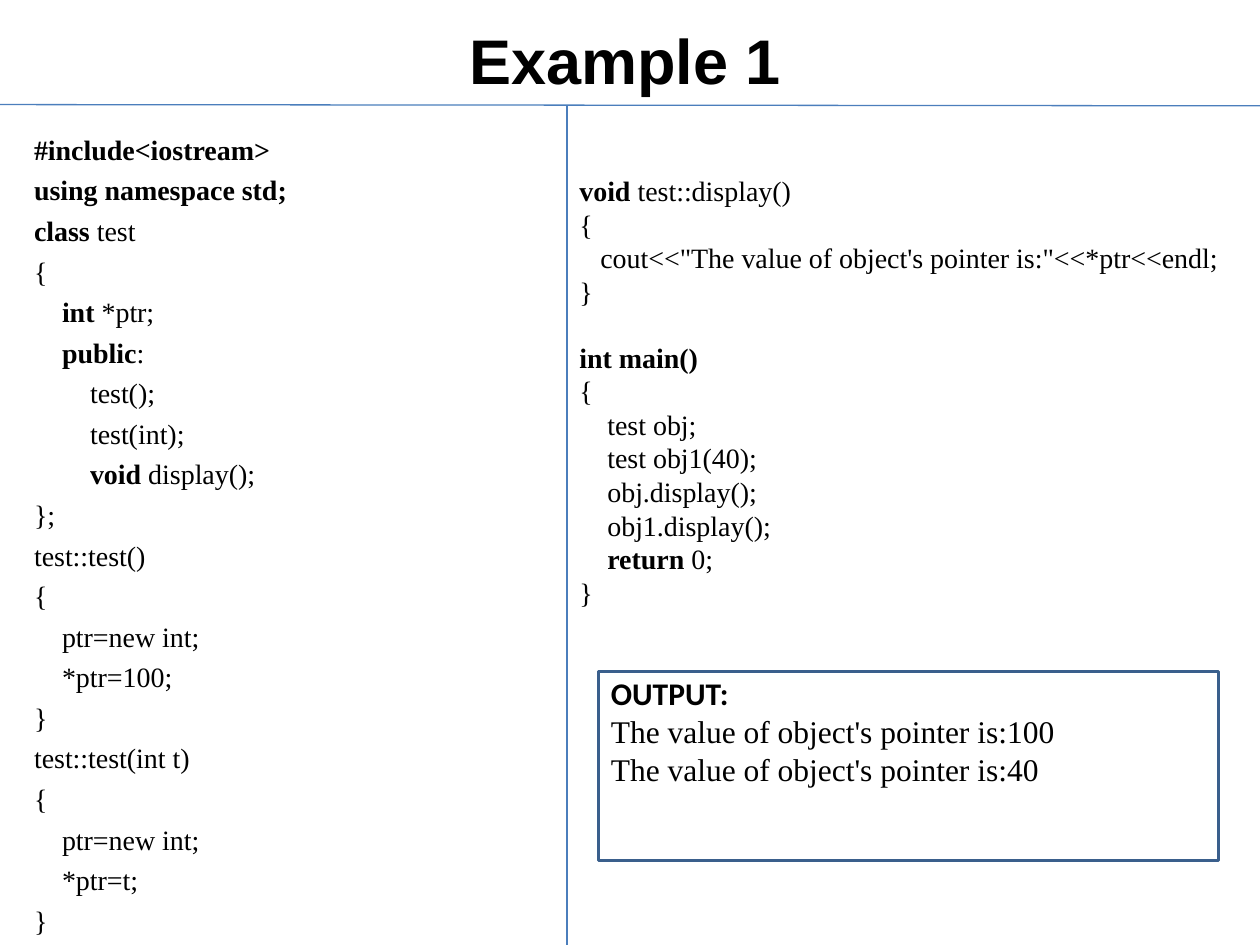
from lxml.etree import SubElement
from pptx import Presentation
from pptx.dml.color import RGBColor as RGB
from pptx.enum.shapes import MSO_CONNECTOR as CONN, MSO_SHAPE as SHAPE
from pptx.enum.text import MSO_ANCHOR as ANCHOR, MSO_AUTO_SIZE as AUTO, PP_ALIGN as ALIGN
from pptx.oxml.ns import qn
from pptx.util import Inches, Pt

THEME = {
    "text": RGB(0, 0, 0), "rule": RGB(0x4B, 0x7E, 0xBC), "frame": RGB(0x3A, 0x5F, 0x8C),
    "head": "Arial", "code": "Times New Roman", "label": "Calibri",
    "title_size": 36, "code_size": 16, "output_size": 18,
}
SPACE_WIDTH = THEME["code_size"] / 4

TITLE = "Example 1"
# each line: indent in characters, bold text, plain text
CLASS_CODE = [
    (0, "#include<iostream>", ""),
    (0, "using namespace std;", ""),
    (0, "class", " test"),
    (0, "", "{"),
    (4, "int ", "*ptr;"),
    (4, "public", ":"),
    (8, "", "test();"),
    (8, "", "test(int);"),
    (8, "void", " display();"),
    (0, "", "};"),
    (0, "", "test::test()"),
    (0, "", "{"),
    (4, "", "ptr=new int;"),
    (4, "", "*ptr=100;"),
    (0, "", "}"),
    (0, "", "test::test(int t)"),
    (0, "", "{"),
    (4, "", "ptr=new int;"),
    (4, "", "*ptr=t;"),
    (0, "", "}"),
]
DISPLAY_CODE = [
    (0, "void", " test::display()"),
    (0, "", "{"),
    (3, "", "cout<<\"The value of object's pointer is:\"<<*ptr<<endl;"),
    (0, "", "}"),
]
MAIN_CODE = [
    (0, "int main()", ""),
    (0, "", "{"),
    (4, "", "test obj;"),
    (4, "", "test obj1(40);"),
    (4, "", "obj.display();"),
    (4, "", "obj1.display();"),
    (4, "return ", "0;"),
    (0, "", "}"),
]
OUTPUT = [
    (0, "OUTPUT:", ""),
    (0, "", "The value of object's pointer is:100"),
    (0, "", "The value of object's pointer is:40"),
]
RULES = [(0, 0.83, 10, 0.84), (4.5, 0.84, 4.5, 7.5)]


def put(obj, **values):
    for name, value in values.items():
        setattr(obj, name, value)


def place(sp, x, y, w, h):
    put(sp, left=Inches(x), top=Inches(y), width=Inches(w), height=Inches(h))


def add_run(p, text, size, font, bold):
    r = p.add_run()
    r.text = text
    put(r.font, size=Pt(size), name=font, bold=bold)
    r.font.color.rgb = THEME["text"]


def write_lines(tf, lines, size, bold_font=THEME["code"], align=ALIGN.LEFT, before=0):
    for i, (indent, bold, plain) in enumerate(lines):
        p = tf.add_paragraph() if i else tf.paragraphs[0]
        put(p, alignment=align, space_before=Pt(before))
        pPr = p._p.get_or_add_pPr()
        pPr.set("marL", str(Pt(indent * SPACE_WIDTH)))
        pPr.set("indent", "0")
        SubElement(pPr, qn("a:buNone"))
        if bold:
            add_run(p, bold, size, bold_font, True)
        if plain:
            add_run(p, plain, size, THEME["code"], False)


prs = Presentation()
put(prs, slide_width=Inches(10), slide_height=Inches(7.5))
s = prs.slides.add_slide(prs.slide_layouts[1])
title, body = s.placeholders

place(title, 0.42, 0.08, 9.08, 0.78)
put(title.text_frame, vertical_anchor=ANCHOR.MIDDLE, auto_size=AUTO.NONE)
p = title.text_frame.paragraphs[0]
p.alignment = ALIGN.CENTER
add_run(p, TITLE, THEME["title_size"], THEME["head"], True)

place(body, 0.17, 1, 4.25, 6.5)
put(body.text_frame, vertical_anchor=ANCHOR.TOP, auto_size=AUTO.NONE)
write_lines(body.text_frame, CLASS_CODE, THEME["code_size"], align=ALIGN.JUSTIFY, before=4)

for ends in RULES:
    rule = s.shapes.add_connector(CONN.STRAIGHT, *map(Inches, ends))
    rule.line.color.rgb = THEME["rule"]
    rule.line.width = Pt(0.75)
    SubElement(rule._element.spPr, qn("a:effectLst"))

tf = s.shapes.add_textbox(*map(Inches, (4.5, 0.96, 5.33, 4.29))).text_frame
put(tf, word_wrap=True, vertical_anchor=ANCHOR.MIDDLE)
write_lines(tf, DISPLAY_CODE + MAIN_CODE, THEME["code_size"])
tf.paragraphs[len(DISPLAY_CODE)].space_before = Pt(THEME["code_size"] * 1.15)

sp = s.shapes.add_shape(SHAPE.RECTANGLE, *map(Inches, (4.75, 5.33, 4.92, 1.5)))
sp.shadow.inherit = False
sp.fill.background()
sp.line.color.rgb = THEME["frame"]
sp.line.width = Pt(2)
put(sp.text_frame, word_wrap=True, vertical_anchor=ANCHOR.TOP, margin_top=Inches(0.02))
write_lines(sp.text_frame, OUTPUT, THEME["output_size"], bold_font=THEME["label"])

prs.save("out.pptx")
